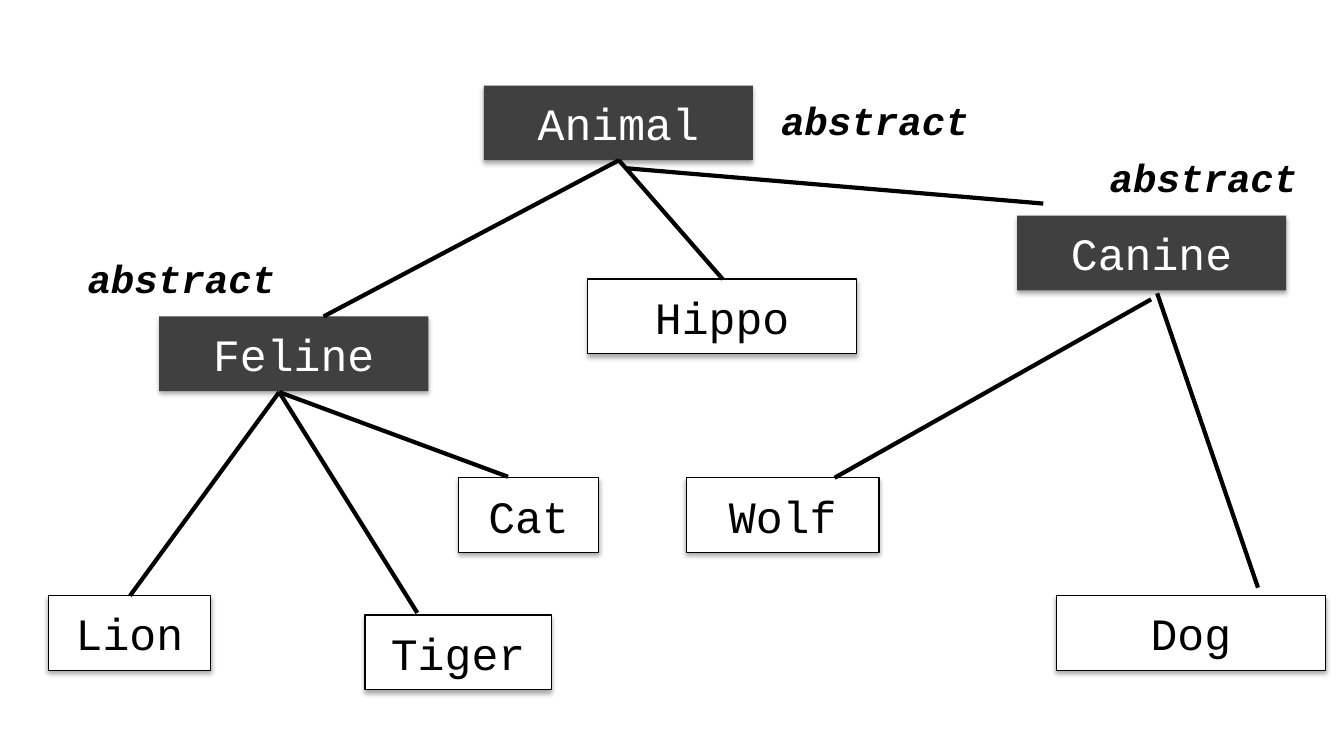
from lxml.etree import SubElement
from pptx import Presentation
from pptx.dml.color import RGBColor
from pptx.enum.shapes import MSO_CONNECTOR, MSO_SHAPE
from pptx.enum.text import MSO_ANCHOR, MSO_AUTO_SIZE, PP_ALIGN
from pptx.oxml.ns import qn
from pptx.util import Inches, Pt

BLACK = RGBColor(0x00, 0x00, 0x00)
WHITE = RGBColor(0xFF, 0xFF, 0xFF)
GREY = RGBColor(0x40, 0x40, 0x40)

# Grid cells are a tenth of an inch square
CELL = Inches(0.1)
COLS, ROWS = 133.33, 75
HIGH = 7.4
WIDE = 26.7


def cells(*nums):
    return [round(num * CELL) for num in nums]


class Tree:
    font = "Courier New"

    def __init__(self, slide):
        self.shapes = slide.shapes

    def fill_text(self, frame, text, size, color):
        para = frame.paragraphs[0]
        para.text = text
        para.font.name = self.font
        para.font.size = Pt(size)
        para.font.color.rgb = color
        return para

    def shade(self, shape):
        shape.shadow.inherit = False
        effects = shape._element.spPr.find(qn("a:effectLst"))
        outer = SubElement(effects, qn("a:outerShdw"), blurRad=str(Pt(3.5)),
                           dist=str(Pt(2.2)), dir="5400000", rotWithShape="0")
        color = SubElement(outer, qn("a:srgbClr"), val=str(BLACK))
        SubElement(color, qn("a:alpha"), val="32000")

    def box(self, name, col, row, wide=WIDE, dark=False):
        shape = self.shapes.add_shape(MSO_SHAPE.RECTANGLE, *cells(col, row, wide, HIGH))
        shape.fill.solid()
        shape.fill.fore_color.rgb = GREY if dark else WHITE
        if dark:
            shape.line.fill.background()
        else:
            shape.line.color.rgb = BLACK
            shape.line.width = Pt(1)
        self.shade(shape)
        frame = shape.text_frame
        frame.vertical_anchor = MSO_ANCHOR.MIDDLE
        para = self.fill_text(frame, name, 32, WHITE if dark else BLACK)
        para.alignment = PP_ALIGN.CENTER

    def link(self, start, end):
        line = self.shapes.add_connector(MSO_CONNECTOR.STRAIGHT, *cells(*start, *end))
        line.line.color.rgb = BLACK
        line.line.width = Pt(3)
        SubElement(line._element.spPr, qn("a:effectLst"))

    def label(self, text, col, row):
        frame = self.shapes.add_textbox(*cells(col, row, 21.4, 5.7)).text_frame
        frame.word_wrap = True
        frame.auto_size = MSO_AUTO_SIZE.SHAPE_TO_FIT_TEXT
        para = self.fill_text(frame, text, 28, BLACK)
        para.font.bold = para.font.italic = True


def main():
    deck = Presentation()
    deck.slide_width, deck.slide_height = cells(COLS, ROWS)
    tree = Tree(deck.slides.add_slide(deck.slide_layouts[6]))

    # Abstract classes
    for name, col, row in [("Animal", 48, 8.5), ("Feline", 15.8, 31.4),
                           ("Canine", 100.9, 21.4)]:
        tree.box(name, col, row, dark=True)

    # Concrete classes
    for name, col, row, wide in [
        ("Hippo", 58.3, 27.7, WIDE), ("Cat", 45.5, 47.4, 13.9),
        ("Lion", 4.8, 59.1, 16.1), ("Tiger", 36.2, 61, 18.5),
        ("Dog", 104.8, 59.1, WIDE), ("Wolf", 68.1, 47.4, 19.1),
    ]:
        tree.box(name, col, row, wide)

    # Lines from parent to child
    animal, feline = (61.4, 15.9), (27.7, 38.9)
    for start, end in [
        (animal, (71.7, 27.7)), (animal, (32.1, 31.4)),
        ((62.2, 16.7), (103.5, 20.2)),
        (feline, (50.4, 47.3)), (feline, (12.9, 59.1)), (feline, (41.4, 60.8)),
        ((114.2, 29.7), (82.8, 47.4)), ((114.8, 29.1), (124.8, 58.3)),
    ]:
        tree.link(start, end)

    # Labels of the abstract classes
    for col, row in [(7.7, 24.7), (76.5, 9.1), (109.1, 14.7)]:
        tree.label("abstract", col, row)

    deck.save("out.pptx")


if __name__ == "__main__":
    main()
